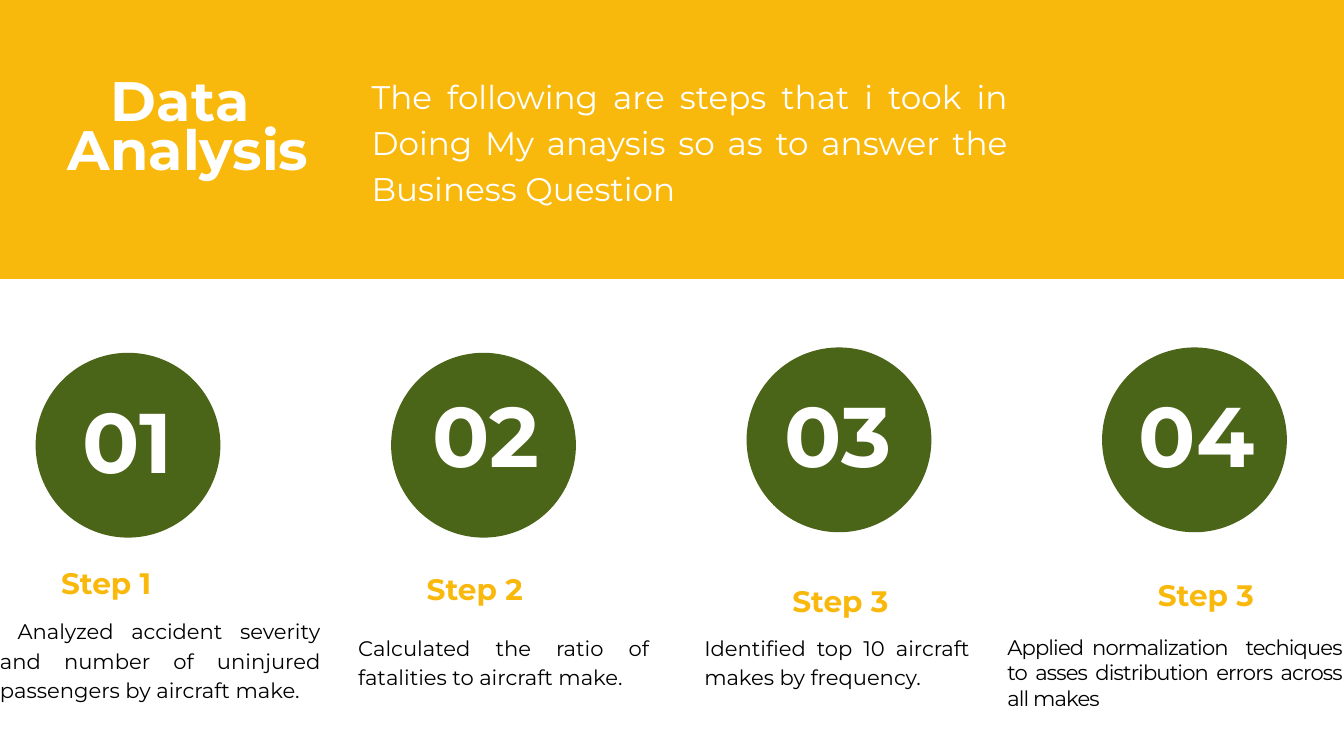
from dataclasses import dataclass

from lxml.etree import SubElement
from pptx import Presentation
from pptx.dml.color import RGBColor
from pptx.enum.shapes import MSO_SHAPE as Preset
from pptx.enum.text import MSO_ANCHOR as Anchor, MSO_AUTO_SIZE as AutoSize, PP_ALIGN as Align
from pptx.oxml.ns import qn
from pptx.shapes.autoshape import Shape
from pptx.slide import Slide
from pptx.util import Inches, Pt


@dataclass(frozen=True)
class TextStyle:
    size: float
    leading: float
    color: RGBColor
    bold: bool = False
    align: Align = Align.LEFT
    tracking: float = 0


@dataclass(frozen=True)
class Theme:
    font: str = "Montserrat"
    gold: RGBColor = RGBColor(0xF9, 0xB8, 0x0C)
    green: RGBColor = RGBColor(0x4A, 0x64, 0x18)
    white: RGBColor = RGBColor(0xFF, 0xFF, 0xFF)
    black: RGBColor = RGBColor(0, 0, 0)
    title: TextStyle = TextStyle(59.5, 52.3, white, True, Align.CENTER)
    intro: TextStyle = TextStyle(35, 49, white, align=Align.JUSTIFY)
    number: TextStyle = TextStyle(90.6, 82.4, white, True, Align.CENTER)
    label: TextStyle = TextStyle(31.7, 44.3, gold, True)
    detail: TextStyle = TextStyle(22.6, 31.7, black, align=Align.JUSTIFY)
    tight_detail: TextStyle = TextStyle(22.6, 27.1, black, align=Align.JUSTIFY, tracking=-0.9)


THEME = Theme()


@dataclass(frozen=True)
class Box:
    left: float
    top: float
    width: float
    height: float

    def lengths(self) -> tuple[Inches, ...]:
        return tuple(Inches(v) for v in (self.left, self.top, self.width, self.height))


@dataclass(frozen=True)
class Step:
    label: str
    detail: str
    circle_top: float
    number_left: float
    number_top: float
    label_top: float
    detail_box: Box
    detail_style: TextStyle = THEME.detail


CIRCLE_SIZE = 2.75
CIRCLE_LEFT, CIRCLE_PITCH = 0.53, 5.29
LABEL_LEFT, LABEL_PITCH = 0.91, 5.44

STEPS = [
    Step("Step 1", " Analyzed accident severity and number of uninjured passengers by aircraft make.",
         5.25, 0.86, 6.15, 8.32, Box(0, 9.14, 4.77, 1.74)),
    Step("Step 2", "Calculated the ratio of fatalities to aircraft make.",
         5.25, 6.19, 6.07, 8.41, Box(5.33, 9.39, 4.33, 1.3)),
    Step("Step 3", "Identified top 10 aircraft makes by frequency.",
         5.17, 11.44, 6.07, 8.59, Box(10.48, 9.39, 3.95, 0.86)),
    Step("Step 3", "Applied normalization  techiques to asses distribution errors across all makes",
         5.17, 16.77, 6.07, 8.5, Box(14.99, 9.44, 4.98, 1.14), THEME.tight_detail),
]


def write(holder: Shape, text: str, style: TextStyle) -> None:
    frame = holder.text_frame
    frame.text = text
    frame.word_wrap = True
    frame.auto_size = AutoSize.NONE
    frame.vertical_anchor = Anchor.TOP
    frame.margin_left = frame.margin_top = frame.margin_right = frame.margin_bottom = 0
    for paragraph in frame.paragraphs:
        paragraph.alignment = style.align
        paragraph.line_spacing = Pt(style.leading)
        paragraph.space_before = Pt(0)
        for run in paragraph.runs:
            run.font.name = THEME.font
            run.font.size = Pt(style.size)
            run.font.bold = style.bold
            run.font.color.rgb = style.color
            if style.tracking:
                run.font._element.set("spc", str(round(style.tracking * 100)))


def place(holder: Shape, box: Box) -> None:
    holder.left, holder.top, holder.width, holder.height = box.lengths()


def add_text(slide: Slide, box: Box, text: str, style: TextStyle) -> None:
    write(slide.shapes.add_textbox(*box.lengths()), text, style)


def add_filled(slide: Slide, preset: Preset, box: Box, color: RGBColor) -> Shape:
    filled = slide.shapes.add_shape(preset, *box.lengths())
    filled.shadow.inherit = False
    filled.fill.solid()
    filled.fill.fore_color.rgb = color
    filled.line.fill.background()
    return filled


def add_header(slide: Slide) -> None:
    band = add_filled(slide, Preset.RECTANGLE, Box(0, 0, 20, 4.15), THEME.gold)
    slide.shapes.element.insert(2, band.element)

    title, intro = slide.placeholders
    place(title, Box(0.95, 1.25, 3.7, 2.23))
    write(title, "Data \nAnalysis", THEME.title)

    place(intro, Box(5.53, 1.05, 9.47, 2.01))
    write(intro, "The following are steps that i took in Doing My anaysis "
                 "so as to answer the Business Question", THEME.intro)
    properties = intro.text_frame.paragraphs[0]._p.get_or_add_pPr()
    properties.set("marL", "0")
    properties.set("indent", "0")
    SubElement(properties, qn("a:buNone"))


def add_step(slide: Slide, index: int, step: Step) -> None:
    circle = Box(CIRCLE_LEFT + index * CIRCLE_PITCH, step.circle_top, CIRCLE_SIZE, CIRCLE_SIZE)
    add_filled(slide, Preset.OVAL, circle, THEME.green)
    number = Box(step.number_left, step.number_top, 2.07, 1.23)
    add_text(slide, number, f"{index + 1:02}", THEME.number)
    label = Box(LABEL_LEFT + index * LABEL_PITCH, step.label_top, 2.97, 0.6)
    add_text(slide, label, step.label, THEME.label)
    add_text(slide, step.detail_box, step.detail, step.detail_style)


def main() -> None:
    deck = Presentation()
    deck.slide_width, deck.slide_height = Inches(20), Inches(11.25)
    slide = deck.slides.add_slide(deck.slide_layouts[1])
    add_header(slide)
    for index, step in enumerate(STEPS):
        add_step(slide, index, step)
    deck.save("out.pptx")


if __name__ == "__main__":
    main()
